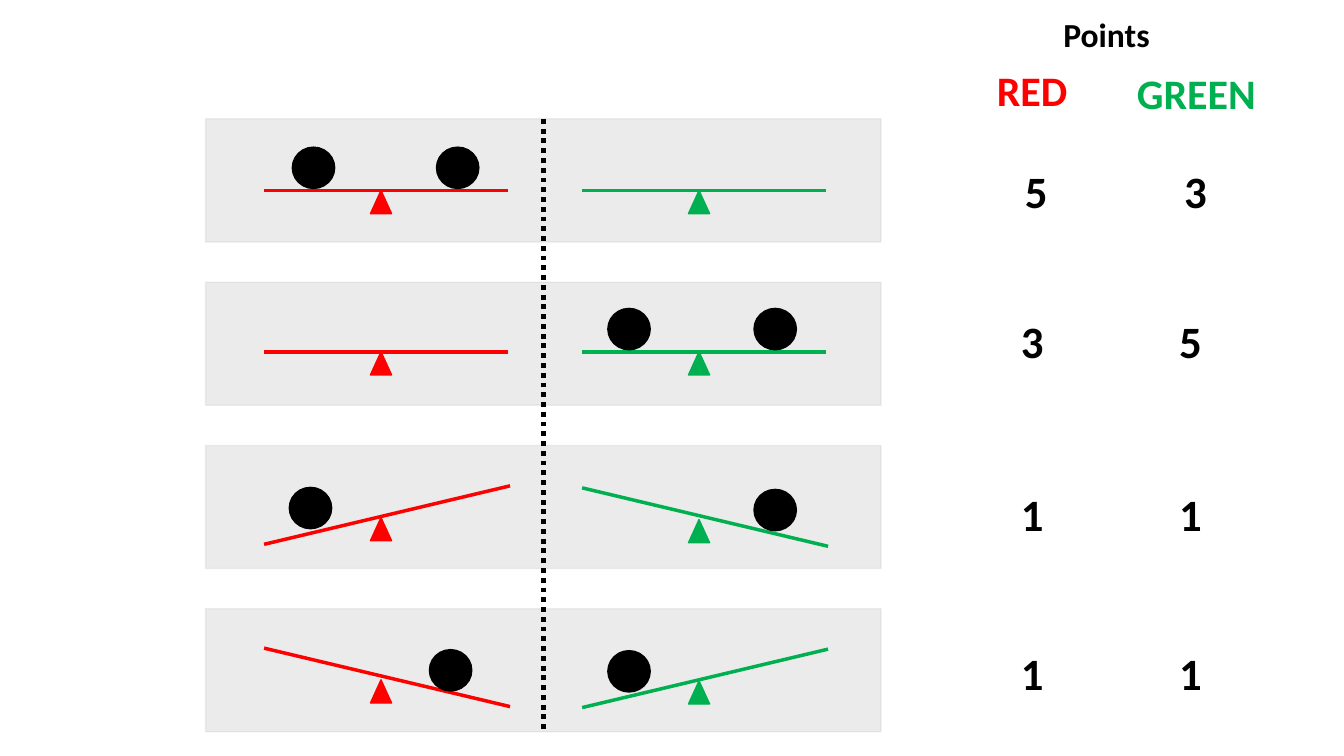
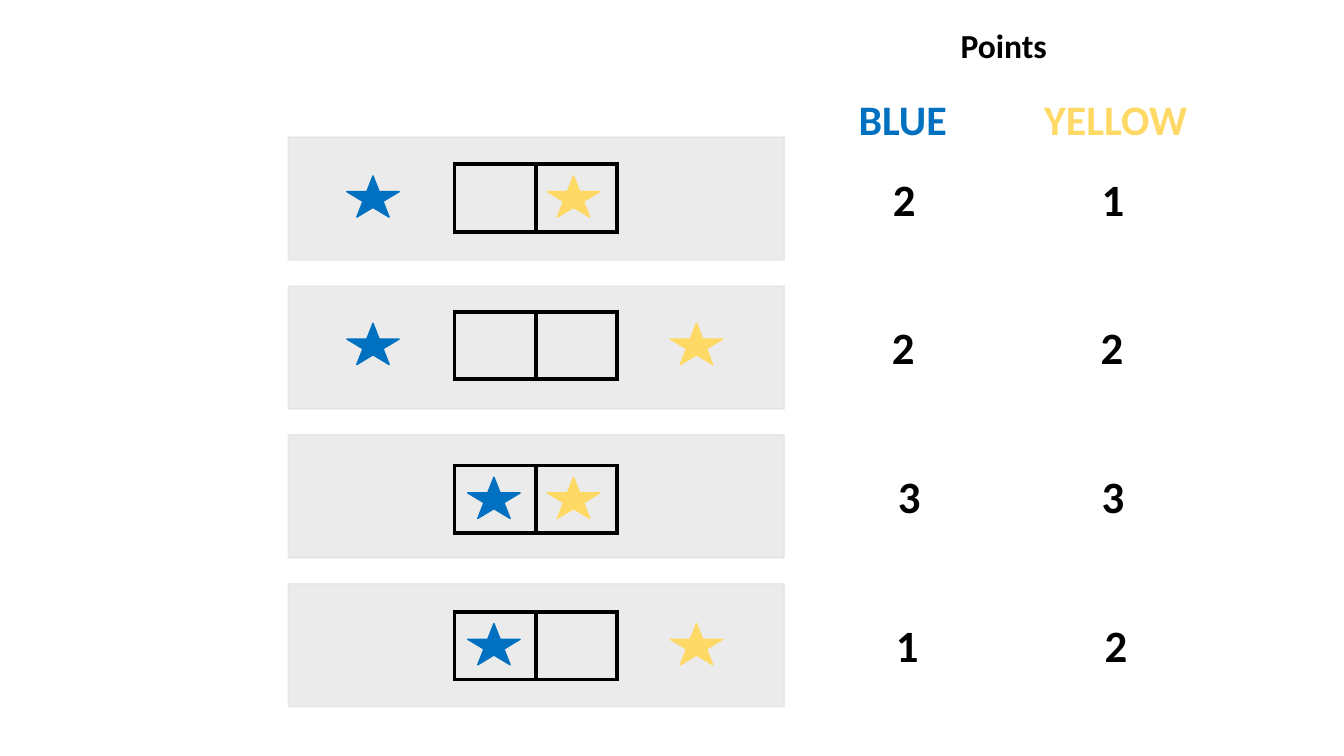
from lxml.etree import SubElement as Sub
from pptx import Presentation
from pptx.dml.color import RGBColor
from pptx.enum.dml import MSO_LINE as Dash
from pptx.enum.shapes import MSO_CONNECTOR as Link, MSO_SHAPE as Form
from pptx.enum.text import MSO_AUTO_SIZE as Fit
from pptx.oxml.ns import qn
from pptx.util import Inches, Pt

COLS, ROWS = 133.33, 75
BLACK, GREY = "000000", "D9D9D9"
RED, GREEN = "FF0000", "00B050"
BLUE, YELLOW = "0070C0", "FFD966"


def tint(code):
    return RGBColor.from_string(code)


class Board:
    font = "Calibri"
    band_high = 12.2

    def __init__(self):
        self.deck = Presentation()
        self.deck.slide_width = Inches(13.33)
        self.deck.slide_height = Inches(7.5)
        self.col = self.deck.slide_width / COLS
        self.row = self.deck.slide_height / ROWS

    def start(self):
        self.slide = self.deck.slides.add_slide(self.deck.slide_layouts[6])

    def place(self, x, y, *size):
        wide, high = size or (0, 0)
        spot = [x * self.col, y * self.row]
        if size:
            spot += [wide * self.col, high * self.row]
        return [round(v) for v in spot]

    def shape(self, form, x, y, wide, high, hue):
        item = self.slide.shapes.add_shape(form, *self.place(x, y, wide, high))
        item.shadow.inherit = False
        item.fill.solid()
        item.fill.fore_color.rgb = tint(hue)
        item.line.color.rgb = tint(hue)
        item.line.width = Pt(1)
        return item

    def band(self, x, y, wide):
        item = self.shape(Form.RECTANGLE, x, y, wide, self.band_high, GREY)
        for part in item.element.spPr.iter(qn("a:srgbClr")):
            Sub(part, qn("a:alpha"), val="50000")

    def ball(self, x, y):
        self.shape(Form.OVAL, x, y, 4.2, 4.1, BLACK)

    def peg(self, x, y, hue):
        self.shape(Form.ISOSCELES_TRIANGLE, x, y, 2.1, 2.3, hue)

    def star(self, x, y, hue):
        self.shape(Form.STAR_5_POINT, x, y, 5.2, 4.1, hue)

    def line(self, start, end, hue, size, dash=None):
        item = self.slide.shapes.add_connector(
            Link.STRAIGHT, *self.place(*start), *self.place(*end))
        item.line.color.rgb = tint(hue)
        item.line.width = Pt(size)
        if dash:
            item.line.dash_style = dash
        Sub(item.element.spPr, qn("a:effectLst"))

    def seesaw(self, x, mid, tilt, balls, hue):
        wide = 24.4 if tilt else 24.2
        gap, lift = (0.25, 2.75) if tilt else (0, 4.3)
        self.line((x, mid - tilt / 2), (x + wide, mid + tilt / 2), hue, 2.5)
        self.peg(x + 10.55, mid + gap, hue)
        for left in balls:
            self.ball(left, mid - lift)

    def boxes(self, x, y):
        frame = self.slide.shapes.add_table(1, 2, *self.place(x, y, 16.1, 6.7))
        grid = frame.table
        grid.first_row = grid.horz_banding = False
        for cell in grid.iter_cells():
            props = cell._tc.get_or_add_tcPr()
            for side in "LRTB":
                edge = Sub(props, qn("a:ln" + side), w=str(Pt(3)))
                fill = Sub(edge, qn("a:solidFill"))
                Sub(fill, qn("a:srgbClr"), val=BLACK)
            cell.fill.background()

    def text(self, words, x, y, wide, high, size, hue=BLACK):
        item = self.slide.shapes.add_textbox(*self.place(x, y, wide, high))
        frame = item.text_frame
        frame.word_wrap = False
        frame.auto_size = Fit.SHAPE_TO_FIT_TEXT
        run = frame.paragraphs[0].add_run()
        run.text = words
        run.font.name = self.font
        run.font.size = Pt(size)
        run.font.bold = True
        run.font.color.rgb = tint(hue)

    def heads(self, top, teams):
        self.text("Points", *top, 10.7, 5, 24)
        for name, x, y, wide, hue in teams:
            self.text(name, x, y, wide, 6.1, 30, hue)

    def score(self, y, *pairs):
        for mark, x in pairs:
            self.text(mark, x, y, 4.3, 6.4, 32)


def scales(board):
    board.start()
    top, step, lean = 11.8, 16.2, 5.8
    rows = [
        ((18.9, 0, (29, 43.3)), (18.9, 0, ()), 15.8, ("5", 100.7), ("3", 116.5)),
        ((34.9, 0, ()), (34.9, 0, (60.3, 74.8)), 30.6, ("3", 100.3), ("5", 116)),
        ((51.1, -lean, (28.7,)), (51.3, lean, (74.8,)), 47.8,
         ("1", 100.3), ("1", 116)),
        ((67.2, lean, (42.6,)), (67.3, -lean, (60.3,)), 63.6,
         ("1", 100.3), ("1", 116)),
    ]
    for i, (left, right, y, *pairs) in enumerate(rows):
        board.band(20.4, top + i * step, 67)
        board.seesaw(26.2, *left, RED)
        board.seesaw(57.75, *right, GREEN)
        board.score(y, *pairs)
    board.line((53.9, top), (53.9, 72.5), BLACK, 3.5, Dash.ROUND_DOT)
    board.heads((104.5, 0.9), [("RED", 97.9, 5.9, 9.1, RED),
                               ("GREEN", 111.8, 6.2, 13.9, GREEN)])


def stars(board):
    board.start()
    top, step = 13.6, 14.77
    far, near = (34.4, 66.5), (46.4, 54.3)
    rows = [
        (far[0], near[1], 2.7, ("2", 87.6), ("1", 108.3)),
        (far[0], far[1], 2.55, ("2", 87.5), ("2", 108.2)),
        (near[0], near[1], 3.05, ("3", 88.1), ("3", 108.3)),
        (near[0], far[1], 2.8, ("1", 87.9), ("2", 108.6)),
    ]
    for i, (blue, gold, drop, *pairs) in enumerate(rows):
        y = top + i * step
        board.band(28.6, y, 49.2)
        board.boxes(45.1, y + drop)
        board.star(blue, y + drop + 1.15, BLUE)
        board.star(gold, y + drop + 1.15, YELLOW)
        board.score(y + 2.9, *pairs)
    board.heads((94.3, 2), [("BLUE", 84.2, 8.8, 10.9, BLUE),
                            ("YELLOW", 102.6, 8.8, 16.3, YELLOW)])


def main():
    board = Board()
    scales(board)
    stars(board)
    board.deck.save("out.pptx")


if __name__ == "__main__":
    main()
